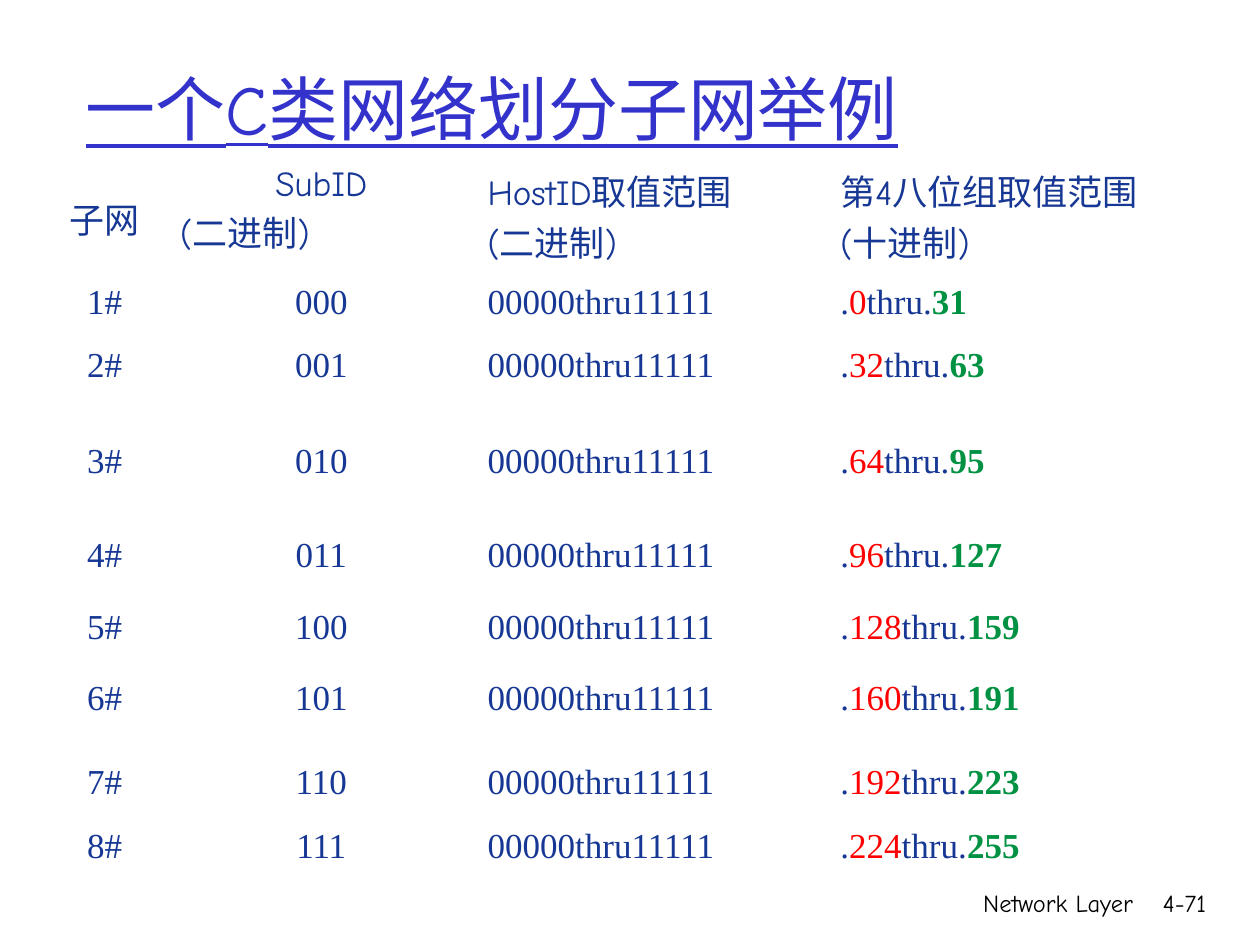
from dataclasses import dataclass

import pptx
import pptx.dml.color
import pptx.enum.text
import pptx.util

COLORS = {"title": "3333CC", "body": "163794", "first": "FF0000",
          "last": "009242", "footer": "000000", "paper": "FFFFFF"}
COMIC = "Comic Neue"
TIMES = "Times New Roman"
COLUMNS = [1, 2.44, 2.8, 2.76]
ROWS = [0.94, 0.5, 0.76, 0.75, 0.57, 0.56, 0.57, 0.61, 0.57]
SUBNETS = 8
HOSTS = 32
MIDDLE_ROWS = (7,)

ALIGN = pptx.enum.text.PP_ALIGN
ANCHOR = pptx.enum.text.MSO_ANCHOR


@dataclass
class Run:
    text: str
    font: str = TIMES
    size: float = 20
    color: str = "body"
    bold: bool = False
    underline: bool = False


@dataclass
class Line:
    runs: list[Run]
    align: ALIGN = ALIGN.LEFT


@dataclass
class Box:
    left: float
    top: float
    width: float
    height: float


def rgb(name: str) -> pptx.dml.color.RGBColor:
    return pptx.dml.color.RGBColor.from_string(COLORS[name])


def write(tf, lines: list[Line]) -> None:
    for i, line in enumerate(lines):
        p = tf.add_paragraph() if i else tf.paragraphs[0]
        p.alignment = line.align
        for run in line.runs:
            r = p.add_run()
            r.text = run.text
            r.font.name = run.font
            r.font.size = pptx.util.Pt(run.size)
            r.font.bold = run.bold
            r.font.underline = run.underline
            r.font.color.rgb = rgb(run.color)


def base_line(word: str) -> Line:
    return Line([Run("(", COMIC), Run(word), Run(")", COMIC)])


def header_cells() -> list[list[Line]]:
    return [
        [Line([Run("子网")], ALIGN.CENTER)],
        [Line([Run("SubID", COMIC, 20.1)], ALIGN.CENTER), base_line("二进制")],
        [Line([Run("HostID", COMIC, 20.1), Run("取值范围", size=20.1)]),
         base_line("二进制")],
        [Line([Run("第", size=20.1), Run("4", COMIC, 20.1),
               Run("八位组取值范围", size=20.1)]),
         base_line("十进制")],
    ]


def subnet_cells(index: int) -> list[list[Line]]:
    first = index * HOSTS
    last = first + HOSTS - 1
    return [
        [Line([Run(f"{index + 1}#")], ALIGN.CENTER)],
        [Line([Run(f"{index:03b}")], ALIGN.CENTER)],
        [Line([Run("00000thru11111")])],
        [Line([Run("."), Run(str(first), color="first"), Run("thru."),
               Run(str(last), color="last", bold=True)])],
    ]


def add_subnet_table(s, left: float, top: float) -> None:
    inch = pptx.util.Inches
    table = s.shapes.add_table(len(ROWS), len(COLUMNS), inch(left), inch(top),
                               inch(sum(COLUMNS)), inch(sum(ROWS))).table
    table.first_row = False
    table.horz_banding = False
    for column, width in zip(table.columns, COLUMNS):
        column.width = inch(width)
    for row, height in zip(table.rows, ROWS):
        row.height = inch(height)
    content = [header_cells()] + [subnet_cells(i) for i in range(SUBNETS)]
    for y, cells in enumerate(content):
        for x, lines in enumerate(cells):
            cell = table.cell(y, x)
            cell.fill.solid()
            cell.fill.fore_color.rgb = rgb("paper")
            middle = y in MIDDLE_ROWS or (y, x) == (0, 0)
            cell.vertical_anchor = ANCHOR.MIDDLE if middle else ANCHOR.TOP
            write(cell.text_frame, lines)


def place(sp, box: Box) -> None:
    sp.left = pptx.util.Inches(box.left)
    sp.top = pptx.util.Inches(box.top)
    sp.width = pptx.util.Inches(box.width)
    sp.height = pptx.util.Inches(box.height)


def add_footer(s, text: str, box: Box) -> None:
    sp = s.shapes.add_textbox(0, 0, 0, 0)
    place(sp, box)
    sp.text_frame.word_wrap = True
    write(sp.text_frame, [Line([Run(text, COMIC, 14, "footer")], ALIGN.RIGHT)])


def set_title(s, text: str, box: Box) -> None:
    sp = s.shapes.title
    place(sp, box)
    tf = sp.text_frame
    tf.word_wrap = True
    tf.auto_size = pptx.enum.text.MSO_AUTO_SIZE.NONE
    tf.vertical_anchor = ANCHOR.MIDDLE
    write(tf, [Line([Run(text, COMIC, 40, "title", underline=True)])])


def main() -> None:
    prs = pptx.Presentation()
    prs.slide_width = pptx.util.Inches(10)
    prs.slide_height = pptx.util.Inches(7.5)
    s = prs.slides.add_slide(prs.slide_layouts[5])
    add_footer(s, "Network Layer", Box(5.92, 7, 3.17, 0.5))
    add_footer(s, "4-71", Box(8.93, 7, 0.74, 0.5))
    add_subnet_table(s, 0.33, 1.26)
    set_title(s, "一个C类网络划分子网举例", Box(0.58, 0.23, 8.5, 1.25))
    prs.save("out.pptx")


if __name__ == "__main__":
    main()
